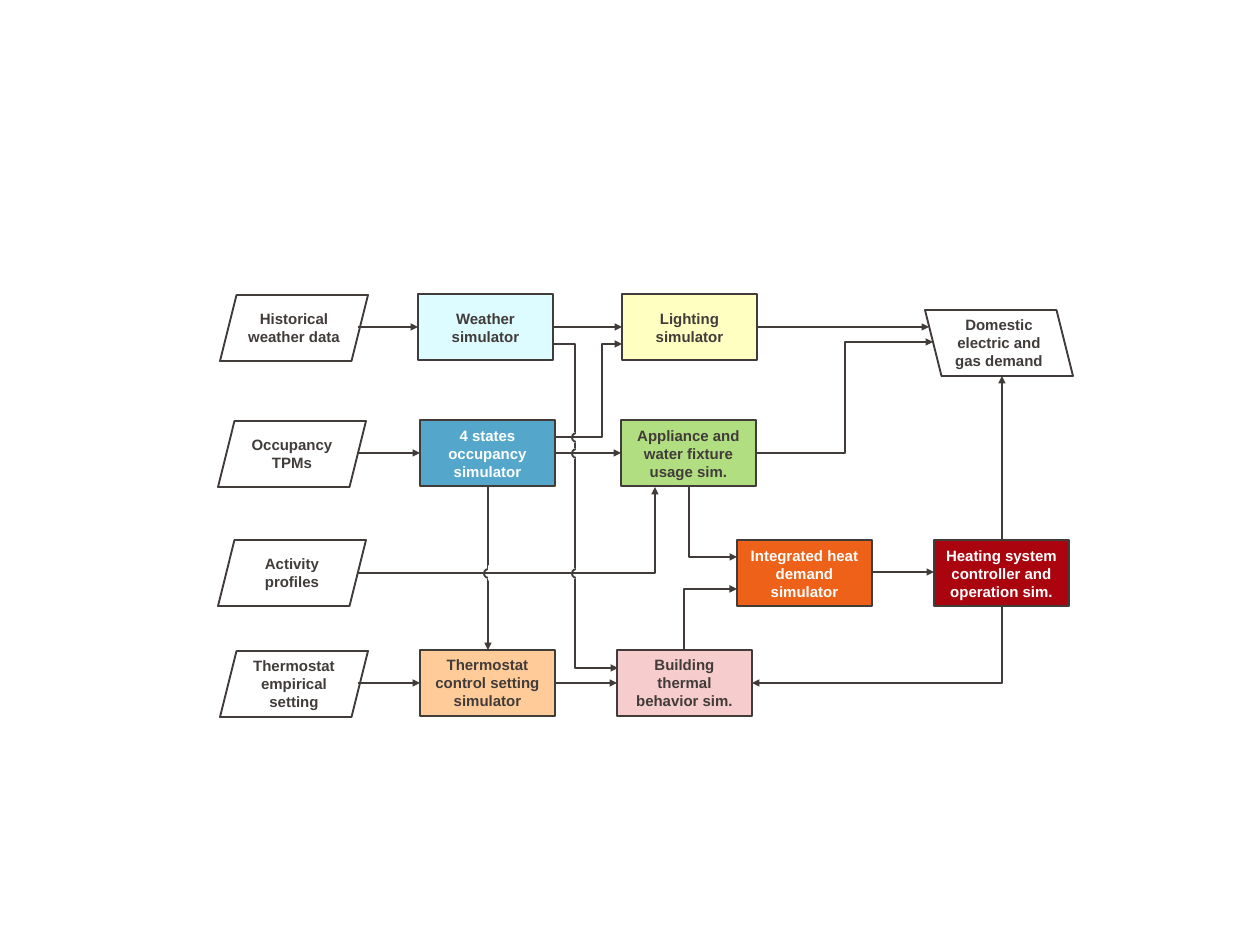
from dataclasses import dataclass

from pptx import Presentation
from pptx import util as u
from pptx.dml import color
from pptx.enum import shapes, text
from pptx.oxml import ns
from lxml import etree

SCALE = 10160
INK = "413C3A"
WHITE = "FFFFFF"
BOX_WIDTH, DATA_WIDTH, HEIGHT = 135, 148, 66
RECTANGLE = shapes.MSO_SHAPE.RECTANGLE
PARALLELOGRAM = shapes.MSO_SHAPE.PARALLELOGRAM


@dataclass
class Node:
    label: str
    left: int
    top: int
    fill: str | None = None
    ink: str = INK
    opacity: int = 100
    mirrored: bool = False


@dataclass
class Route:
    start: tuple[int, int]
    end: tuple[int, int]
    bend: str = "straight"
    turn: int = 0


@dataclass
class Hop:
    x: int
    y: int


NODES = [
    Node("Historical weather data", 220, 295),
    Node("Occupancy TPMs", 218, 421),
    Node("Activity profiles", 218, 540),
    Node("Thermostat empirical setting", 220, 651),
    Node("Domestic electric and gas demand", 925, 310, mirrored=True),
    Node("Weather simulator", 418, 294, "DDFCFF"),
    Node("Lighting simulator", 622, 294, "FFFF00", opacity=24),
    Node("4 states occupancy simulator", 420, 420, "3B9AC4", WHITE, 87),
    Node("Appliance and water fixture usage sim.", 621, 420, "B2DE82"),
    Node("Thermostat control setting simulator", 420, 650, "FFCC99"),
    Node("Building thermal behavior sim.", 617, 650, "F6CCCC"),
    Node("Integrated heat demand simulator", 737, 540, "ED6118", WHITE),
    Node("Heating system controller and operation sim.", 934, 540, "AA050E", WHITE),
]

ROUTES = [
    Route((358, 327), (418, 327)),
    Route((553, 327), (622, 327)),
    Route((757, 327), (929, 327)),
    Route((357, 453), (420, 453)),
    Route((555, 453), (621, 453)),
    Route((358, 683), (420, 683)),
    Route((555, 683), (617, 683)),
    Route((872, 572), (934, 572)),
    Route((488, 486), (488, 650)),
    Route((1002, 540), (1002, 376)),
    Route((555, 437), (622, 344), "middle", 602),
    Route((554, 344), (618, 668), "middle", 575),
    Route((756, 453), (933, 342), "middle", 845),
    Route((357, 573), (655, 487), "across first"),
    Route((684, 650), (737, 589), "down first"),
    Route((689, 486), (737, 557), "down first"),
    Route((1002, 606), (752, 683), "down first"),
]

HOPS = [Hop(487, 573), Hop(575, 437), Hop(575, 453), Hop(575, 573)]


def px(length: float) -> int:
    return round(length * SCALE)


def rgb(value: str) -> color.RGBColor:
    return color.RGBColor.from_string(value)


def add_form(page, kind, left: int, top: int, width: int, height: int,
             fill: str | None, line: str, weight: float):
    form = page.shapes.add_shape(kind, px(left), px(top), px(width), px(height))
    form.shadow.inherit = False
    if fill:
        form.fill.solid()
        form.fill.fore_color.rgb = rgb(fill)
    else:
        form.fill.background()
    form.line.color.rgb = rgb(line)
    form.line.width = u.Pt(weight)
    return form


def add_node(page, node: Node) -> None:
    kind, width = (RECTANGLE, BOX_WIDTH) if node.fill else (PARALLELOGRAM, DATA_WIDTH)
    box = add_form(page, kind, node.left, node.top, width, HEIGHT, node.fill, INK, 1.5)
    if node.mirrored:
        box.element.spPr.find(ns.qn("a:xfrm")).set("flipH", "1")
    if node.opacity < 100:
        shade = box.element.spPr.find(ns.qn("a:solidFill"))[0]
        etree.SubElement(shade, ns.qn("a:alpha")).set("val", str(node.opacity * 1000))
    frame = box.text_frame
    frame.text = node.label
    frame.word_wrap = True
    frame.vertical_anchor = text.MSO_ANCHOR.MIDDLE
    para = frame.paragraphs[0]
    para.alignment = text.PP_ALIGN.CENTER
    font = para.runs[0].font
    font.name, font.size, font.bold = "Arial", u.Pt(12), True
    font.color.rgb = rgb(node.ink)


def add_line(page, start: tuple[int, int], end: tuple[int, int],
             kind=shapes.MSO_CONNECTOR.STRAIGHT):
    line = page.shapes.add_connector(kind, *map(px, start + end))
    line.line.color.rgb = rgb(INK)
    line.line.width = u.Pt(1.5)
    etree.SubElement(line.element.spPr, ns.qn("a:effectLst"))
    return line


def add_route(page, route: Route) -> None:
    start, end, arrow = route.start, route.end, "a:tailEnd"
    if route.bend == "down first":
        start, end, arrow = end, start, "a:headEnd"
    kind = shapes.MSO_CONNECTOR
    line = add_line(page, start, end, kind.STRAIGHT if route.bend == "straight" else kind.ELBOW)
    properties = line.element.spPr
    geometry = properties.find(ns.qn("a:prstGeom"))
    if route.bend == "middle":
        ratio = (route.turn - start[0]) / (end[0] - start[0])
        guide = etree.SubElement(geometry.find(ns.qn("a:avLst")), ns.qn("a:gd"))
        guide.set("name", "adj1")
        guide.set("fmla", f"val {round(ratio * 100000)}")
    elif route.bend != "straight":
        geometry.set("prst", "bentConnector2")
    etree.SubElement(properties.find(ns.qn("a:ln")), ns.qn(arrow)).set("type", "triangle")


def add_hop(page, hop: Hop) -> None:
    add_form(page, RECTANGLE, hop.x - 4, hop.y - 4, 9, 9, WHITE, WHITE, 1)
    add_form(page, shapes.MSO_SHAPE.OVAL, hop.x - 3, hop.y - 4, 9, 9, None, INK, 1.5)
    add_form(page, RECTANGLE, hop.x + 2, hop.y - 7, 5, 14, WHITE, WHITE, 1)
    add_line(page, (hop.x - 8, hop.y), (hop.x + 9, hop.y))


def main() -> None:
    deck = Presentation()
    deck.slide_width, deck.slide_height = px(1260), px(945)
    page = deck.slides.add_slide(deck.slide_layouts[6])
    for node in NODES:
        add_node(page, node)
    for route in ROUTES:
        add_route(page, route)
    for hop in HOPS:
        add_hop(page, hop)
    deck.save("out.pptx")


main()
